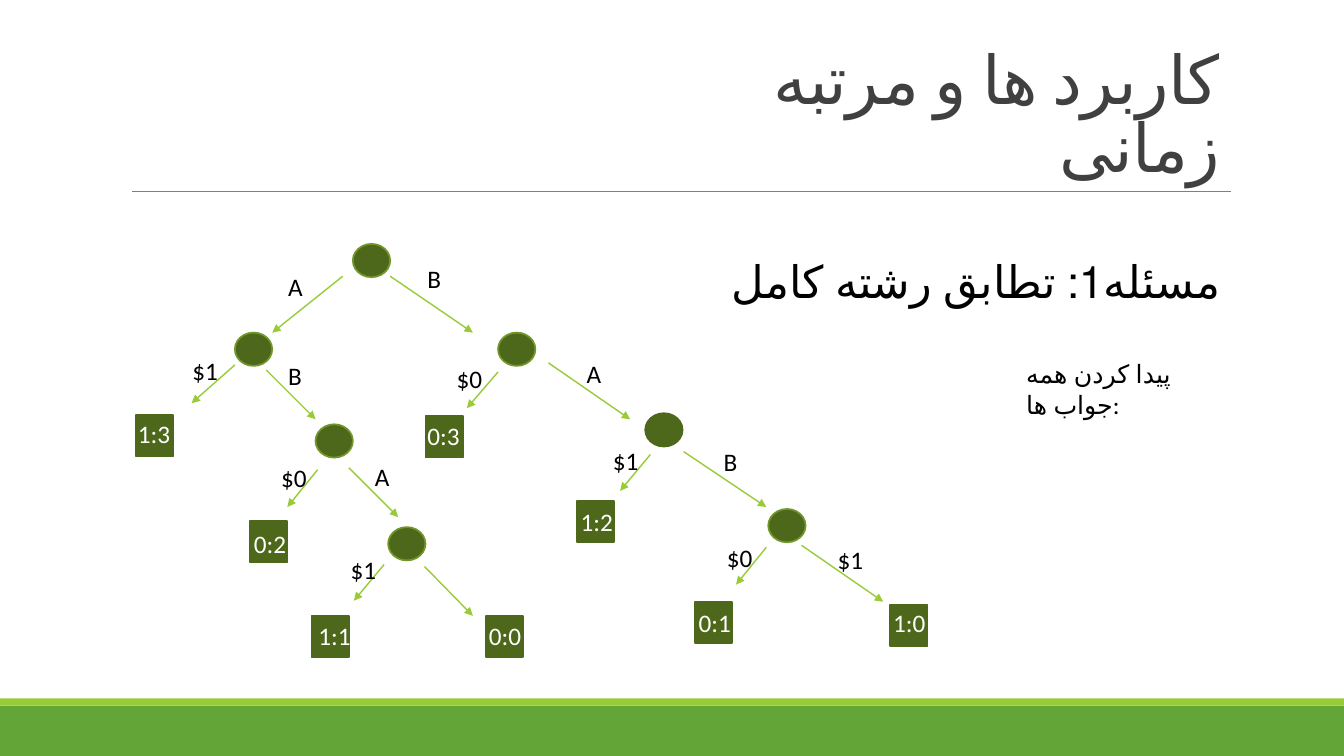
from lxml.etree import SubElement
from pptx import Presentation
from pptx.dml.color import RGBColor
from pptx.enum.lang import MSO_LANGUAGE_ID
from pptx.enum.shapes import MSO_CONNECTOR, MSO_SHAPE
from pptx.enum.text import MSO_ANCHOR, MSO_AUTO_SIZE, PP_ALIGN
from pptx.oxml.ns import qn
from pptx.util import Inches, Pt

COLORS = {
    "band": "63A537", "lime": "99CB38", "rule": "808080", "title": "404040",
    "node": "4D671B", "rim": "719629", "ink": "000000", "pale": "FFFFFF",
}
NODE_W, NODE_H, LEAF_H, TEXT_H = 0.37, 0.33, 0.41, 0.4
FARSI, LATIN = MSO_LANGUAGE_ID.FARSI, MSO_LANGUAGE_ID.ENGLISH_US
NODES = [
    (3.5, 2.42, "rim"), (2.33, 3.3, "rim"), (4.94, 3.3, "rim"), (3.13, 4.21, "rim"),
    (6.4, 4.1, "node"), (3.85, 5.23, "rim"), (7.62, 5.05, "rim"),
]
LEAVES = [
    ("1:3", 1.35, 4.12, 1.27, 4.1), ("0:2", 2.48, 5.17, 2.42, 5.19),
    ("0:3", 4.22, 4.13, 4.14, 4.12), ("1:2", 5.72, 4.97, 5.66, 4.97),
    ("1:1", 3.09, 6.11, 3.06, 6.1), ("0:0", 4.82, 6.11, 4.75, 6.1),
    ("0:1", 6.89, 5.97, 6.83, 5.98), ("1:0", 8.83, 6, 8.76, 5.98),
]
EDGES = [
    (3.4, 2.74, 2.7, 3.3), (2.33, 3.62, 1.9, 4), (3.87, 2.74, 4.69, 3.3),
    (5.44, 3.6, 6.25, 4.16), (6.78, 4.48, 7.6, 5.03), (7.95, 5.41, 8.76, 5.97),
    (2.64, 3.67, 3.13, 4.16), (3.46, 4.64, 3.95, 5.13), (4.21, 5.62, 4.69, 6.11),
    (4.94, 3.69, 4.63, 4.05), (6.45, 4.51, 6.15, 4.87), (7.6, 5.43, 7.3, 5.8),
    (3.15, 4.66, 2.85, 5.03), (3.81, 5.6, 3.51, 5.96),
]
WIDTHS = {"A": 0.37, "B": 0.86, "$0": 1.61, "$1": 1.61}
LABELS = {
    "A": [(2.76, 2.64), (5.72, 3.51), (3.62, 4.53)],
    "B": [(4.14, 2.56), (2.76, 3.53), (7.08, 4.38)],
    "$1": [(1.81, 3.48), (5.98, 4.37), (3.38, 5.45), (8.21, 5.35)],
    "$0": [(4.43, 3.56), (2.69, 4.54), (7.11, 5.33)],
}


def tint(name):
    """Return the named colour."""
    return RGBColor.from_string(COLORS[name])


def assign(item, values):
    """Set each named attribute of an item."""
    for name, value in values.items():
        setattr(item, name, value)


def write(shape, text, size, color, rtl=False, lang=LATIN):
    """Write one styled paragraph into a shape and return it."""
    assign(shape.text_frame, {"word_wrap": True, "auto_size": MSO_AUTO_SIZE.NONE})
    para = shape.text_frame.paragraphs[0]
    run = para.add_run()
    run.text = text
    assign(run.font, {"size": Pt(size), "name": "Calibri", "language_id": lang})
    run.font.color.rgb = tint(color)
    para.alignment = PP_ALIGN.RIGHT if rtl else PP_ALIGN.LEFT
    if rtl:
        para._p.get_or_add_pPr().set("rtl", "1")
    return para


def add_text(slide, text, box, size=18, color="ink", rtl=False, lang=LATIN):
    """Add a text box."""
    shape = slide.shapes.add_textbox(*map(Inches, box))
    write(shape, text, size, color, rtl, lang)


def add_block(slide, kind, box, fill, rim=None):
    """Add a filled shape, with a rim if one is named."""
    shape = slide.shapes.add_shape(kind, *map(Inches, box))
    shape.shadow.inherit = False
    shape.fill.solid()
    shape.fill.fore_color.rgb = tint(fill)
    if rim:
        shape.line.color.rgb = tint(rim)
        shape.line.width = Pt(1.25)
    else:
        shape.line.fill.background()


def add_line(slide, ends, color, width, arrow=False):
    """Add a straight line, with an arrowhead at its end if asked."""
    line = slide.shapes.add_connector(MSO_CONNECTOR.STRAIGHT, *map(Inches, ends))
    line.line.color.rgb = tint(color)
    line.line.width = Pt(width)
    if arrow:
        SubElement(line.line._get_or_add_ln(), qn("a:tailEnd"), type="triangle")
    SubElement(line._element.spPr, qn("a:effectLst"))


def add_title(slide, text):
    """Place and style the slide title."""
    title = slide.shapes.title
    assign(title, {"left": Inches(6.64), "top": Inches(0.74),
                   "width": Inches(5.56), "height": Inches(1.16)})
    para = write(title, text, 48, "title", rtl=True, lang=FARSI)
    para.line_spacing = 0.85
    para.runs[0].font._element.set("spc", "-50")
    title.text_frame.vertical_anchor = MSO_ANCHOR.BOTTOM


def add_tree(slide):
    """Draw the suffix tree."""
    for left, top, rim in NODES:
        add_block(slide, MSO_SHAPE.OVAL, (left, top, NODE_W, NODE_H), "node", rim)
    for tag, left, top, *_ in LEAVES:
        add_block(slide, MSO_SHAPE.RECTANGLE, (left, top, NODE_W, LEAF_H), "node", "node")
    for ends in EDGES:
        add_line(slide, ends, "lime", 1, arrow=True)
    for tag, *_, left, top in LEAVES:
        add_text(slide, tag, (left, top, 0.98, TEXT_H), color="pale")
    for text, spots in LABELS.items():
        for left, top in spots:
            add_text(slide, text, (left, top, WIDTHS[text], TEXT_H))


def main():
    """Build the slide and save it."""
    deck = Presentation()
    assign(deck, {"slide_width": Inches(13.33), "slide_height": Inches(7.5)})
    slide = deck.slides.add_slide(deck.slide_layouts[5])
    add_block(slide, MSO_SHAPE.RECTANGLE, (0, 7, 13.33, 0.5), "band")
    add_block(slide, MSO_SHAPE.RECTANGLE, (0, 6.93, 13.33, 0.07), "lime")
    add_line(slide, (1.31, 1.9, 12.21, 1.9), "rule", 0.5)
    add_title(slide, "کاربرد ها و مرتبه زمانی")
    add_text(slide, "مسئله1: تطابق رشته کامل", (6.91, 2.47, 5.29, 0.64), 32,
             rtl=True, lang=FARSI)
    add_tree(slide)
    add_text(slide, "پیدا کردن همه جواب ها:", (10.08, 3.51, 2.2, TEXT_H), lang=FARSI)
    deck.save("out.pptx")


if __name__ == "__main__":
    main()
